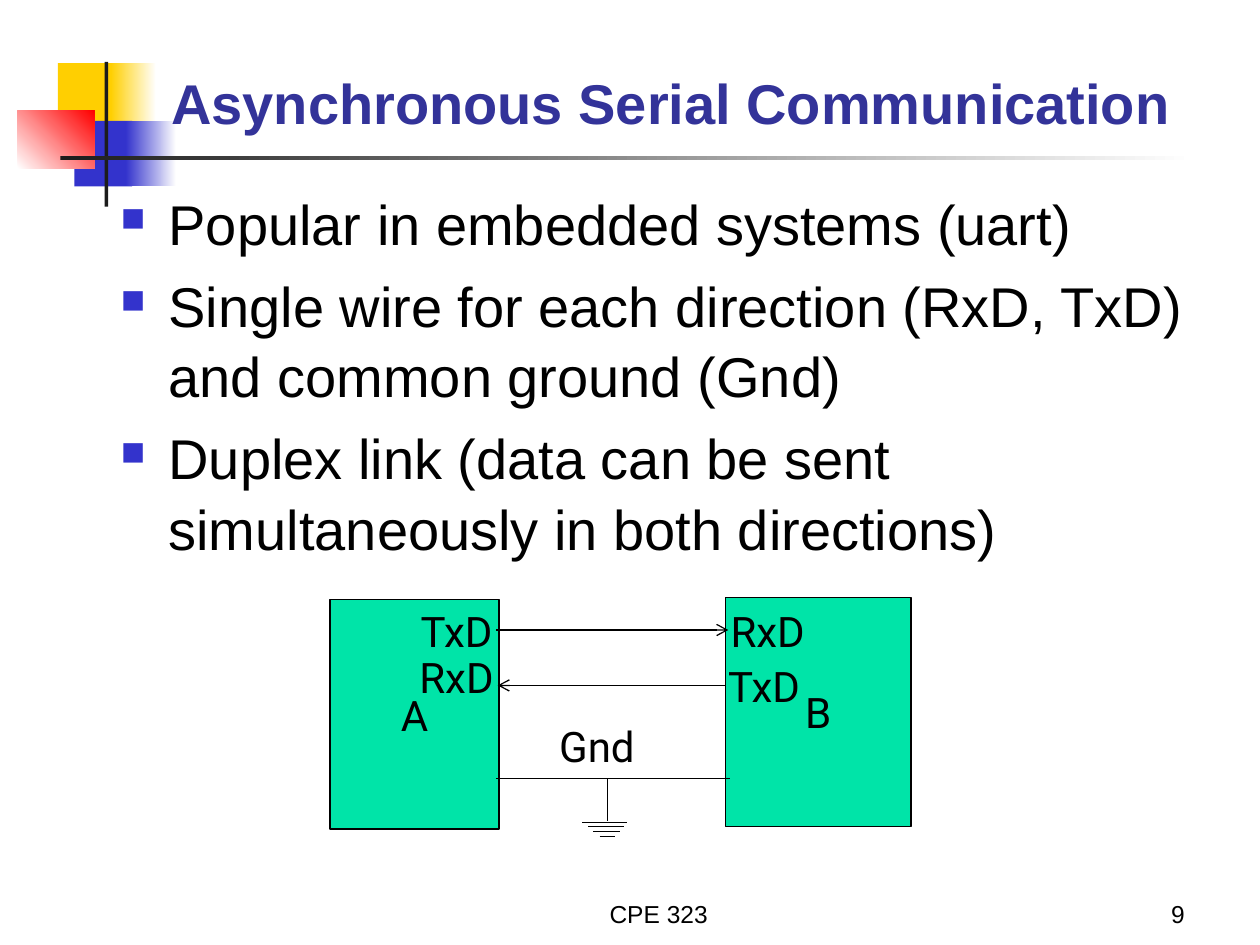
from lxml import etree
from pptx import Presentation
from pptx.dml.color import RGBColor
from pptx.enum import shapes, text
from pptx.oxml.ns import qn
from pptx.util import Inches, Pt

BLACK, WHITE = "000000", "FFFFFF"
YELLOW, BLUE, RED, DARK = "FFCF01", "3333CC", "FF0000", "1C1C1C"
GREEN, TITLE_BLUE = "00E4A8", "333399"
BULLETS = [
    "Popular in embedded systems (uart)",
    "Single wire for each direction (RxD, TxD) and common ground (Gnd)",
    "Duplex link (data can be sent simultaneously in both directions)",
]


def rgb(value):
    return RGBColor.from_string(value)


def inches(values):
    return [Inches(value) for value in values]


def add_rectangle(slide, box, fill, fade_to=None, angle=0):
    shape = slide.shapes.add_shape(shapes.MSO_SHAPE.RECTANGLE, *inches(box))
    shape.shadow.inherit = False
    shape.line.fill.background()
    if fade_to:
        shape.fill.gradient()
        shape.fill.gradient_angle = angle
        for stop, color, position in zip(shape.fill.gradient_stops, (fill, fade_to), (0, 1)):
            stop.color.rgb = rgb(color)
            stop.position = position
    else:
        shape.fill.solid()
        shape.fill.fore_color.rgb = rgb(fill)
    return shape


def format_paragraph(paragraph, words, **font_values):
    paragraph.text = words
    values = {"name": "Arial", "size": Pt(32), "bold": False} | font_values
    paragraph.font.color.rgb = rgb(values.pop("color", BLACK))
    for key, value in values.items():
        setattr(paragraph.font, key, value)


def add_text(slide, box, words, anchor=text.MSO_ANCHOR.TOP, align=text.PP_ALIGN.LEFT, **font_values):
    frame = slide.shapes.add_textbox(*inches(box)).text_frame
    frame.word_wrap = True
    frame.vertical_anchor = anchor
    paragraph = frame.paragraphs[0]
    paragraph.alignment = align
    format_paragraph(paragraph, words, **font_values)


def add_bullets(slide, box, items):
    frame = slide.shapes.add_textbox(*inches(box)).text_frame
    frame.word_wrap = True
    for index, item in enumerate(items):
        paragraph = frame.add_paragraph() if index else frame.paragraphs[0]
        paragraph.line_spacing = 1.05
        if index:
            paragraph.space_before = Pt(6.4)
        properties = paragraph._p.get_or_add_pPr()
        properties.set("marL", str(Inches(0.38)))
        properties.set("indent", str(-Inches(0.38)))
        color = etree.SubElement(properties, qn("a:buClr"))
        etree.SubElement(color, qn("a:srgbClr"), val=BLUE)
        etree.SubElement(properties, qn("a:buSzPct"), val="60000")
        etree.SubElement(properties, qn("a:buChar"), char="■")
        format_paragraph(paragraph, item)


def add_line(slide, start, end, arrow=False):
    line = slide.shapes.add_connector(shapes.MSO_CONNECTOR.STRAIGHT, *inches(start + end))
    line.line.color.rgb = rgb(BLACK)
    line.line.width = Pt(0.75)
    if arrow:
        etree.SubElement(line.line._get_or_add_ln(), qn("a:tailEnd"), type="arrow")
    etree.SubElement(line._element.spPr, qn("a:effectLst"))


def add_device(slide, box, name):
    shape = add_rectangle(slide, box, GREEN)
    shape.line.color.rgb = rgb(BLACK)
    shape.line.width = Pt(0.75)
    frame = shape.text_frame
    frame.word_wrap = False
    frame.vertical_anchor = text.MSO_ANCHOR.MIDDLE
    frame.paragraphs[0].alignment = text.PP_ALIGN.CENTER
    format_paragraph(frame.paragraphs[0], name, name="Roboto", size=Pt(24))


def add_decoration(slide):
    add_rectangle(slide, (0.46, 0.5, 0.48, 0.52), YELLOW)
    add_rectangle(slide, (0.88, 0.5, 0.36, 0.52), YELLOW, WHITE)
    add_rectangle(slide, (0.59, 0.96, 0.46, 0.52), BLUE)
    add_rectangle(slide, (1, 0.96, 0.4, 0.52), BLUE, WHITE)
    add_rectangle(slide, (0.14, 0.88, 0.61, 0.46), WHITE, RED, angle=45)
    add_rectangle(slide, (0.83, 0.49, 0.03, 1.15), DARK)
    add_rectangle(slide, (0.48, 1.24, 9, 0.03), DARK, WHITE)


def add_link_diagram(slide):
    add_device(slide, (2.62, 4.76, 1.34, 1.82), "A")
    add_device(slide, (5.76, 4.74, 1.47, 1.82), "B")
    add_line(slide, (3.94, 5), (5.78, 5), arrow=True)
    add_line(slide, (5.76, 5.44), (3.95, 5.44), arrow=True)
    add_line(slide, (3.94, 6.18), (5.79, 6.18))
    add_line(slide, (4.82, 6.18), (4.82, 6.52))
    ground_bars = [(4.62, 4.98, 6.53), (4.67, 4.95, 6.56), (4.71, 4.92, 6.6), (4.76, 4.88, 6.64)]
    for left, right, y in ground_bars:
        add_line(slide, (left, y), (right, y))
    labels = [("RxD", 5.7, 4.76), ("RxD", 3.23, 5.12), ("TxD", 3.24, 4.76),
              ("TxD", 5.68, 5.19), ("Gnd", 4.34, 5.67)]
    for words, left, top in labels:
        add_text(slide, (left, top, 0.9, 0.5), words, name="Roboto", size=Pt(24))


def main():
    presentation = Presentation()
    presentation.slide_width, presentation.slide_height = inches((10, 7.5))
    slide = presentation.slides.add_slide(presentation.slide_layouts[6])
    bottom = text.MSO_ANCHOR.BOTTOM
    add_decoration(slide)
    add_text(slide, (1.26, 0.18, 8.52, 0.95), "Asynchronous Serial Communication",
             bottom, bold=True, color=TITLE_BLUE)
    add_bullets(slide, (0.86, 1.43, 8.93, 5.79), BULLETS)
    add_text(slide, (3.67, 6.92, 3.17, 0.5), "CPE 323 ", bottom, text.PP_ALIGN.CENTER, size=Pt(14))
    add_text(slide, (7.42, 6.92, 2.08, 0.5), "9", bottom, text.PP_ALIGN.RIGHT, size=Pt(14))
    add_link_diagram(slide)
    presentation.save("out.pptx")


if __name__ == "__main__":
    main()
